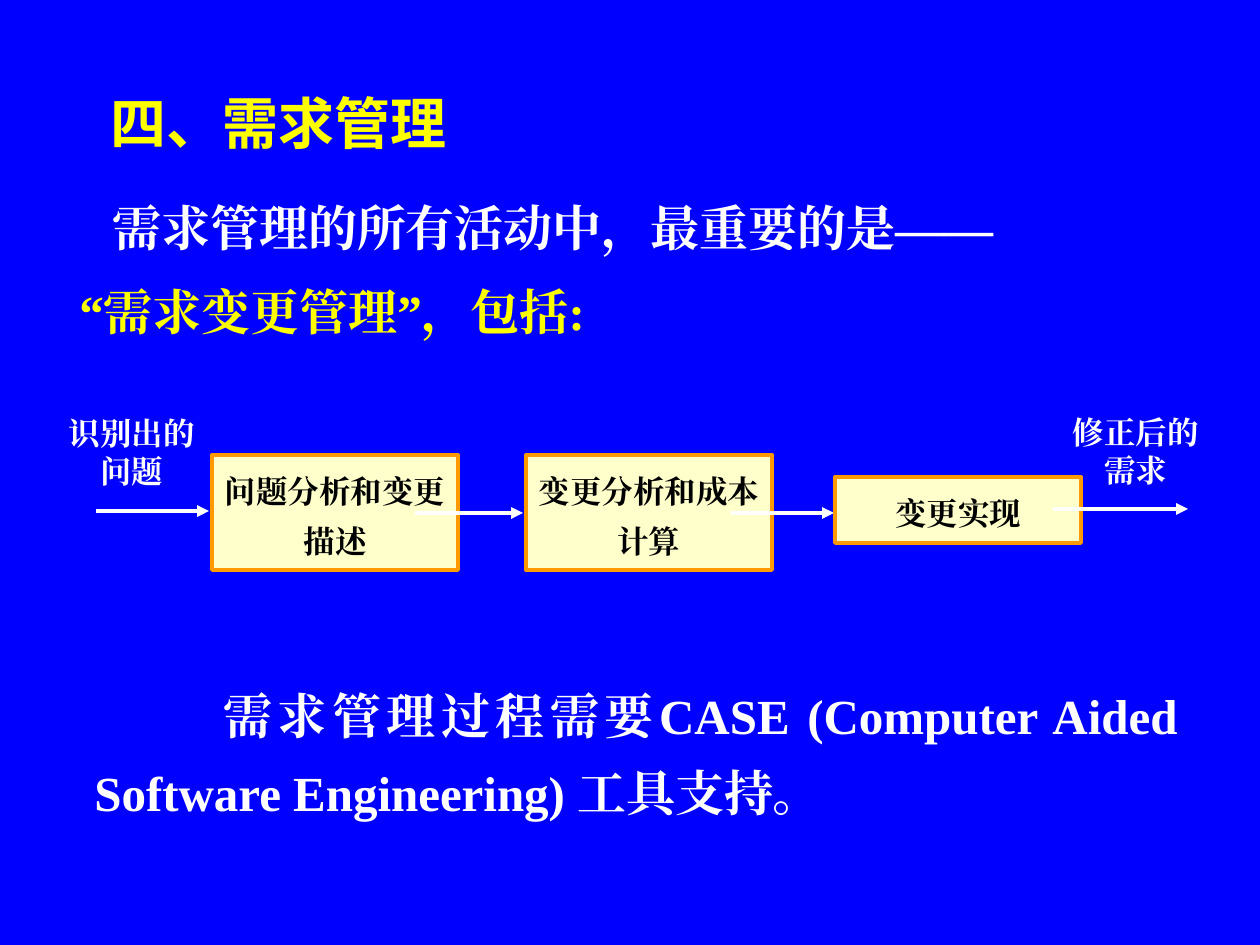
import pptx
import pptx.util
import pptx.dml.color
import pptx.enum.shapes
import pptx.enum.text
import pptx.oxml.ns
import lxml.etree

px = 914400 / 126
qn = pptx.oxml.ns.qn
align = pptx.enum.text.PP_ALIGN
anchor = pptx.enum.text.MSO_ANCHOR
serif = "Times New Roman"
sans = "Noto Sans CJK JP"


def color(hex):
    return pptx.dml.color.RGBColor.from_string(hex)


def write(shape, *lines, size=18, font=serif, ink="FFFFFF", side=align.LEFT,
          lead=(1,), indent=(0,), gap=0, mid=anchor.TOP):
    frame = shape.text_frame
    frame.word_wrap = True
    frame.vertical_anchor = mid
    for i, line in enumerate(lines):
        para = frame.paragraphs[0] if i == 0 else frame.add_paragraph()
        para.alignment = side
        para.line_spacing = float(lead[i])
        para.space_before = pptx.util.Pt(gap if i else 0)
        para._p.get_or_add_pPr().set("indent", str(round(indent[i] * px)))
        run = para.add_run()
        run.text = line
        run.font.size = pptx.util.Pt(size)
        run.font.bold = True
        run.font.name = font
        run.font.color.rgb = color(ink if isinstance(ink, str) else ink[i])
        east = lxml.etree.SubElement(run._r.get_or_add_rPr(), qn("a:ea"))
        east.set("typeface", font)


deck = pptx.Presentation()
deck.slide_width = round(1260 * px)
deck.slide_height = round(945 * px)
slide = deck.slides.add_slide(deck.slide_layouts[6])
slide.background.fill.solid()
slide.background.fill.fore_color.rgb = color("0000FF")
shapes = slide.shapes

# Title, lead-in and closing note
texts = [
    ((98, 64, 1071, 117), ["四、需求管理"],
     dict(size=32, font=sans, ink="FFFF00", mid=anchor.MIDDLE)),
    ((55, 174, 1168, 178), ["需求管理的所有活动中，最重要的是——", "“需求变更管理”，包括:"],
     dict(size=28, ink=("FFFFFF", "FFFF00"), lead=(1.3, 1), indent=(45, 12), gap=14)),
    ((82, 662, 1108, 166),
     ["需求管理过程需要CASE (Computer Aided Software Engineering) 工具支持。"],
     dict(size=28, side=align.JUSTIFY, lead=(1.3,), indent=(129,))),
    # Labels at the two ends of the flow
    ((1058, 407, 155, 88), ["修正后的需求"], dict(side=align.CENTER)),
    ((54, 408, 155, 88), ["识别出的问题"], dict(side=align.CENTER)),
]
for place, lines, form in texts:
    box = shapes.add_textbox(*[round(n * px) for n in place])
    write(box, *lines, **form)

# Process steps, each followed by its outgoing arrow
steps = [
    (None, None, (96, 209, 511)),
    ("问题分析和变更描述", (212, 455, 246, 115), (415, 523, 513)),
    ("变更分析和成本计算", (526, 455, 246, 115), (731, 834, 513)),
    ("变更实现", (835, 477, 246, 66), (1053, 1188, 509)),
]
for label, place, (start, end, y) in steps:
    if label:
        box = shapes.add_shape(pptx.enum.shapes.MSO_SHAPE.RECTANGLE,
                               *[round(n * px) for n in place])
        box.shadow.inherit = False
        box.fill.solid()
        box.fill.fore_color.rgb = color("FFFFCC")
        box.line.color.rgb = color("FF9900")
        box.line.width = pptx.util.Pt(2.25)
        write(box, label, ink="000000", side=align.CENTER, lead=(1.3,))
    arrow = shapes.add_connector(
        pptx.enum.shapes.MSO_CONNECTOR.STRAIGHT,
        *[round(n * px) for n in (start, y, end, y)])
    arrow.line.color.rgb = color("FFFFFF")
    arrow.line.width = pptx.util.Pt(2.25)
    tail = lxml.etree.SubElement(arrow.line._get_or_add_ln(), qn("a:tailEnd"))
    tail.set("type", "triangle")
    lxml.etree.SubElement(arrow._element.spPr, qn("a:effectLst"))

deck.save("out.pptx")
